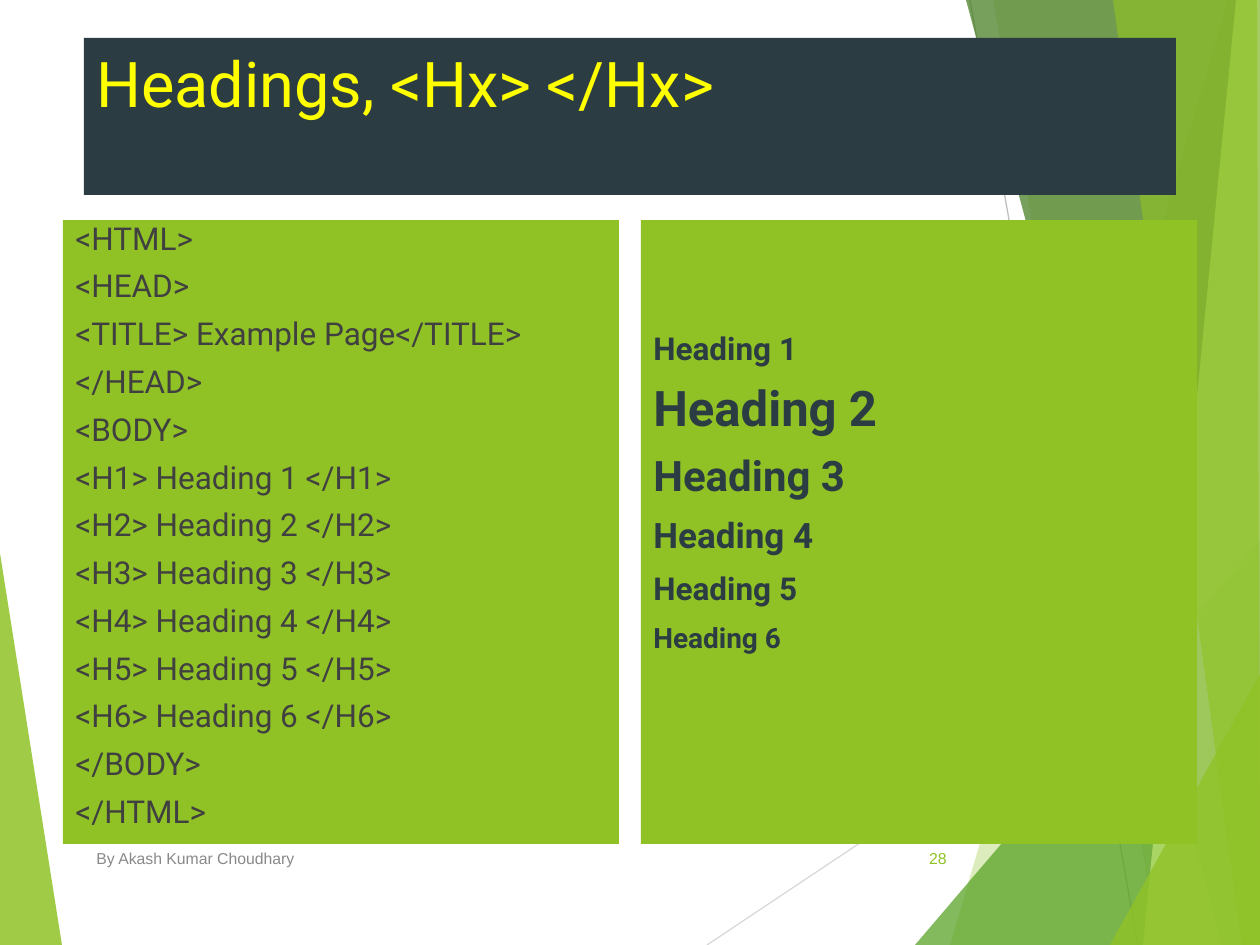
from lxml.etree import SubElement
from pptx import Presentation
from pptx.dml.color import RGBColor
from pptx.enum.shapes import MSO_CONNECTOR as Connector, MSO_SHAPE as Shape
from pptx.enum.text import MSO_ANCHOR as Anchor, PP_ALIGN as Align
from pptx.oxml.ns import qn
from pptx.util import Emu, Pt

SCALE = 914400 / 126
WIDTH, HEIGHT = 1260, 945
GREEN, DARK, GRAY = "90C226", "2C3C43", "404040"

LEFT_FACET = [([(0, 553), (62, HEIGHT), (0, HEIGHT)], GREEN, 85)]
RAYS = [((707, 945), (1260, 576), "D9D9D9"), ((970, 0), (1138, 945), "BFBFBF")]
RIGHT_FACETS = [
    ([(1228, 0), (950, HEIGHT), (WIDTH, HEIGHT), (WIDTH, 0)], GREEN, 30),
    ([(993, 0), (1159, HEIGHT), (WIDTH, HEIGHT), (WIDTH, 0)], GREEN, 20),
    ([(915, HEIGHT), (WIDTH, 541), (WIDTH, HEIGHT)], "54A021", 72),
    ([(966, 0), (1222, HEIGHT), (WIDTH, HEIGHT), (WIDTH, 0)], "3F7819", 70),
    ([(1236, 0), (1143, HEIGHT), (WIDTH, HEIGHT), (WIDTH, 0)], "C0E474", 70),
    ([(1113, 0), (1242, HEIGHT), (WIDTH, HEIGHT), (1257, 0)], GREEN, 65),
    ([(1110, HEIGHT), (WIDTH, 674), (WIDTH, HEIGHT)], GREEN, 80),
]
TITLE = "Headings, <Hx> </Hx>"
CODE = [
    "<HTML>", "<HEAD>", "<TITLE> Example Page</TITLE>", "</HEAD>", "<BODY>",
    *[f"<H{level}> Heading {level} </H{level}>" for level in range(1, 7)],
    "</BODY>", "</HTML>",
]
HEADING_SIZES = [18, 28, 24, 20, 18, 16]
HEADINGS = [f"Heading {level}" for level in range(1, 7)]
PANEL_TOP, PANEL_WIDTH, PANEL_HEIGHT = 220, 556, 624
CODE_LEFT, HEADINGS_LEFT = 63, 641
FOOTER_TOP, FOOTER_HEIGHT = 833, 50


def px(value):
    return Emu(round(value * SCALE))


def color(value):
    return RGBColor.from_string(value)


def paint(shape, fill):
    shape.shadow.inherit = False
    shape.fill.solid()
    shape.fill.fore_color.rgb = color(fill)
    shape.line.fill.background()


def add_facet(slide, points, fill, opacity):
    builder = slide.shapes.build_freeform(*points[0], scale=SCALE)
    builder.add_line_segments(points[1:], close=True)
    shape = builder.convert_to_shape()
    paint(shape, fill)
    solid = shape._element.spPr.find(qn("a:solidFill"))
    SubElement(solid[0], qn("a:alpha"), val=str(opacity * 1000))


def add_ray(slide, start, end, line_color):
    ray = slide.shapes.add_connector(Connector.STRAIGHT, *map(px, start + end))
    ray.line.color.rgb = color(line_color)
    ray.line.width = Pt(0.75)
    SubElement(ray._element.spPr, qn("a:effectLst"))


def add_box(slide, bounds, fill=None):
    bounds = map(px, bounds)
    if fill is None:
        return slide.shapes.add_textbox(*bounds)
    shape = slide.shapes.add_shape(Shape.RECTANGLE, *bounds)
    paint(shape, fill)
    return shape


def write(shape, lines, sizes, ink, font="Roboto", bold=False, align=Align.LEFT,
          anchor=Anchor.TOP, spacing=None, top=6):
    frame = shape.text_frame
    frame.text = "\n".join(lines)
    frame.word_wrap = True
    frame.vertical_anchor = anchor
    frame.margin_top = px(top)
    for paragraph, size in zip(frame.paragraphs, sizes):
        paragraph.alignment = align
        if spacing:
            paragraph.line_spacing = spacing
            paragraph.space_before = Pt(10)
        for run in paragraph.runs:
            run.font.name = font
            run.font.size = Pt(size)
            run.font.bold = bold
            run.font.color.rgb = color(ink)


def main():
    """Build the HTML headings slide."""
    presentation = Presentation()
    presentation.slide_width, presentation.slide_height = px(WIDTH), px(HEIGHT)
    slide = presentation.slides.add_slide(presentation.slide_layouts[6])

    for facet in LEFT_FACET:
        add_facet(slide, *facet)
    for ray in RAYS:
        add_ray(slide, *ray)
    for facet in RIGHT_FACETS:
        add_facet(slide, *facet)

    write(add_box(slide, (84, 38, 1092, 157), DARK), [TITLE], [36], "FFFF00")
    panel_size = PANEL_WIDTH, PANEL_HEIGHT
    code = add_box(slide, (CODE_LEFT, PANEL_TOP, *panel_size), GREEN)
    write(code, CODE, [18] * len(CODE), GRAY, spacing=0.8)
    headings = add_box(slide, (HEADINGS_LEFT, PANEL_TOP, *panel_size), GREEN)
    write(headings, HEADINGS, HEADING_SIZES, DARK, bold=True, spacing=0.9, top=113)

    number = add_box(slide, (888, FOOTER_TOP, 71, FOOTER_HEIGHT))
    write(number, ["28"], [9], GREEN, "Arial", align=Align.RIGHT, anchor=Anchor.MIDDLE)
    author = add_box(slide, (84, FOOTER_TOP, 638, FOOTER_HEIGHT))
    write(author, ["By Akash Kumar Choudhary"], [9], "898989", "Arial", anchor=Anchor.MIDDLE)

    presentation.save("out.pptx")


if __name__ == "__main__":
    main()
